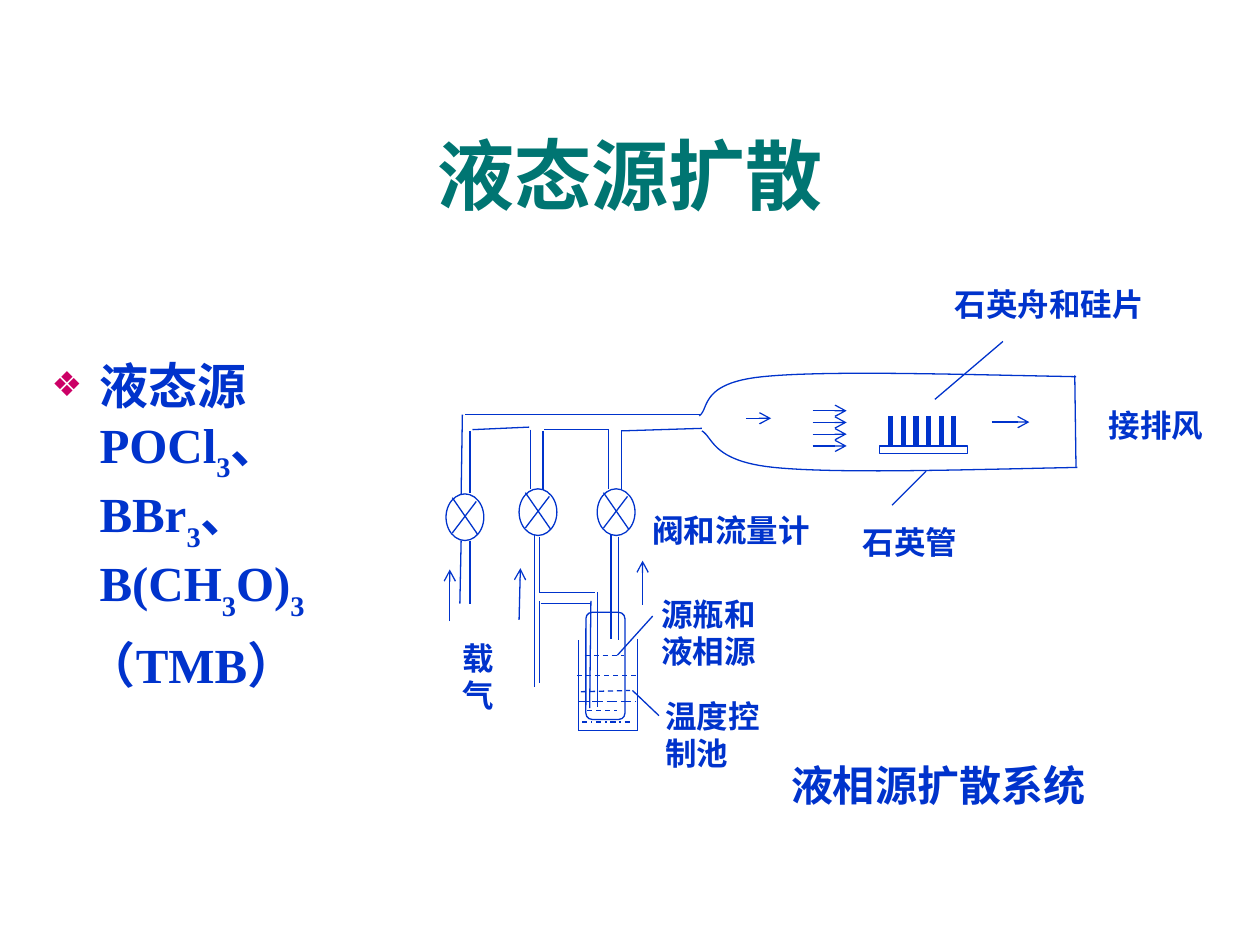
from lxml.etree import SubElement
from pptx import Presentation
from pptx.dml.color import RGBColor
from pptx.enum.dml import MSO_LINE
from pptx.enum.shapes import MSO_CONNECTOR, MSO_SHAPE
from pptx.enum.text import MSO_ANCHOR, MSO_AUTO_SIZE, PP_ALIGN
from pptx.oxml.ns import qn
from pptx.util import Cm, Pt

GRID = 0.0254  # drawing grid in cm: the slide is 1000 x 750 units
BLUE = RGBColor(0x00, 0x33, 0xCC)
TEAL = RGBColor(0x00, 0x75, 0x72)
MAGENTA = RGBColor(0xCC, 0x00, 0x66)
WHITE = RGBColor(0xFF, 0xFF, 0xFF)

TITLE_FONT = {"name": "Times New Roman", "size": Pt(44), "bold": True}
LIST_FONT = {"name": "Times New Roman", "size": Pt(28), "bold": True}
LABEL_FONT = {"name": "Lato", "size": Pt(18), "bold": True}
CAPTION_FONT = {"name": "Lato", "size": Pt(24), "bold": True}


def grid(units):
    return Cm(GRID * units)


def place(box, x, y):
    """Turn an offset within a box into a slide position."""
    return grid(box[0] + x), grid(box[1] + y)


def add_run(paragraph, text, font_format, color):
    run = paragraph.add_run()
    run.text = text
    for name, value in font_format.items():
        setattr(run.font, name, value)
    run.font.color.rgb = color
    return run


def add_label(slide, box, text, x, y, width, height,
              font_format=LABEL_FONT, wrap=True):
    label = slide.shapes.add_textbox(*place(box, x, y), grid(width), grid(height))
    frame_format = {"word_wrap": wrap, "auto_size": MSO_AUTO_SIZE.SHAPE_TO_FIT_TEXT}
    for name, value in frame_format.items():
        setattr(label.text_frame, name, value)
    add_run(label.text_frame.paragraphs[0], text, font_format, BLUE)


def add_segment(slide, box, x1, y1, x2, y2, weight=0.75, dash=None, arrow=False):
    segment = slide.shapes.add_connector(
        MSO_CONNECTOR.STRAIGHT, *place(box, x1, y1), *place(box, x2, y2))
    segment.line.color.rgb = BLUE
    segment.line.width = Pt(weight)
    if dash:
        segment.line.dash_style = dash
    if arrow:
        SubElement(segment.line._get_or_add_ln(), qn("a:tailEnd"), type="arrow")
    SubElement(segment._element.spPr, qn("a:effectLst"))


def outline(shape):
    shape.shadow.inherit = False
    shape.line.color.rgb = BLUE
    shape.line.width = Pt(0.75)


def add_part(slide, box, preset, x, y, width, height):
    part = slide.shapes.add_shape(preset, *place(box, x, y), grid(width), grid(height))
    part.fill.solid()
    part.fill.fore_color.rgb = WHITE
    outline(part)
    return part


def bezier(p0, p1, p2, p3, steps=24):
    for step in range(1, steps + 1):
        t = step / steps
        weights = ((1 - t) ** 3, 3 * t * (1 - t) ** 2, 3 * t * t * (1 - t), t ** 3)
        yield tuple(sum(w * p[axis] for w, p in zip(weights, (p0, p1, p2, p3)))
                    for axis in (0, 1))


def add_curve(slide, box, points):
    """Draw joined cubic curves: a start, then three points for each curve."""
    builder = slide.shapes.build_freeform(*place(box, *points[0]))
    for i in range(0, len(points) - 1, 3):
        builder.add_line_segments(
            [place(box, *p) for p in bezier(*points[i:i + 4])], close=False)
    curve = builder.convert_to_shape()
    curve.fill.background()
    outline(curve)


def fit_placeholder(placeholder, box, anchor):
    placeholder.left, placeholder.top = place(box, 0, 0)
    placeholder.width, placeholder.height = grid(box[2]), grid(box[3])
    frame = placeholder.text_frame
    for name, value in {"vertical_anchor": anchor, "word_wrap": True,
                        "auto_size": MSO_AUTO_SIZE.NONE}.items():
        setattr(frame, name, value)
    return frame


def fill_title(slide, box):
    frame = fit_placeholder(slide.shapes.title, box, MSO_ANCHOR.MIDDLE)
    frame.paragraphs[0].alignment = PP_ALIGN.CENTER
    add_run(frame.paragraphs[0], "液态源扩散", TITLE_FONT, TEAL)


def fill_sources(slide, box):
    frame = fit_placeholder(slide.placeholders[1], box, MSO_ANCHOR.TOP)
    sources, abbreviation = frame.paragraphs[0], frame.add_paragraph()
    for paragraph, first_indent in ((sources, -38), (abbreviation, -10)):
        properties = paragraph._p.get_or_add_pPr()
        properties.set("marL", str(grid(38)))
        properties.set("indent", str(grid(first_indent)))

    # Bullet of the source list
    properties = sources._p.get_or_add_pPr()
    bullet_color = SubElement(properties, qn("a:buClr"))
    SubElement(bullet_color, qn("a:srgbClr"), val=str(MAGENTA))
    SubElement(properties, qn("a:buSzPct"), val="70000")
    SubElement(properties, qn("a:buChar"), char="❖")
    SubElement(abbreviation._p.get_or_add_pPr(), qn("a:buNone"))
    sources.space_before = Pt(0)
    abbreviation.space_before = Pt(7)

    # Formulas, each part followed by a subscript 3
    for formula in ("液态源 POCl", "、BBr", "、B(CH", "O)"):
        add_run(sources, formula, LIST_FONT, BLUE)
        subscript = add_run(sources, "3", LIST_FONT, BLUE)
        subscript._r.get_or_add_rPr().set("baseline", "-30000")
    add_run(abbreviation, "（TMB）", LIST_FONT, BLUE)


def draw_furnace(slide, box):
    # Quartz tube
    add_curve(slide, box, [(299, 5), (199, 3), (99, 0), (50, 5),
                           (0, 10), (8, 31), (0, 36)])
    add_curve(slide, box, [(300, 77), (205, 79), (109, 82), (59, 77),
                           (10, 72), (11, 53), (2, 48)])
    add_segment(slide, box, 298, 4, 299, 77)
    # Boat and wafers
    add_part(slide, box, MSO_SHAPE.RECTANGLE, 143, 60, 70, 6)
    for wafer in range(6):
        x = 152 + 10 * wafer
        add_segment(slide, box, x, 36, x, 61, weight=3)
    # Gas flow
    add_segment(slide, box, 37, 38, 57, 38, arrow=True)
    add_segment(slide, box, 232, 41, 262, 41, arrow=True)
    for stream in range(4):
        y = 32 + 9.3 * stream
        add_segment(slide, box, 90, y, 117, y, arrow=True)
    # Leaders and labels
    for leader in ((241, -23, 187, 23), (153, 107, 180, 80)):
        add_segment(slide, box, *leader)
    for label in (("接排风", 315, 23, 111, 40), ("石英舟和硅片", 193, -73, 176, 40),
                  ("石英管", 120, 116, 113, 40)):
        add_label(slide, box, *label)


def draw_bath(slide, box):
    # Walls, then the source bottle
    for wall in ((48, 37, 48, 110), (1, 110, 48, 110), (1, 38, 1, 110)):
        add_segment(slide, box, *wall)
    bottle = add_part(slide, box, MSO_SHAPE.ROUNDED_RECTANGLE, 7, 16, 31, 85)
    bottle.adjustments[0] = 0.16
    # Liquid levels
    for *level, dash in ((0, 66, 47, 66, MSO_LINE.DASH), (1, 87, 47, 87, MSO_LINE.LONG_DASH),
                         (3, 79, 42, 78, MSO_LINE.DASH), (4, 103, 44, 103, MSO_LINE.DASH_DOT),
                         (6, 50, 37, 50, MSO_LINE.DASH), (8, 94, 32, 94, MSO_LINE.DASH)):
        add_segment(slide, box, *level, dash=dash)
    # Leaders and labels
    for leader in ((60, 19, 32, 50), (65, 98, 44, 78)):
        add_segment(slide, box, *leader)
    add_label(slide, box, "温度控制池", 60, 78, 119, 70)
    add_label(slide, box, "源瓶和液相源", 57, -3, 111, 70)


def draw_valve(slide, box):
    add_part(slide, box, MSO_SHAPE.OVAL, 0, 0, 30, 37)
    add_segment(slide, box, 5, 3, 25, 32)
    add_segment(slide, box, 24, 6, 5, 31)


def draw_gas_lines(slide, box):
    pipes = (
        # Manifold
        (202, 0, 15, 0), (129, 12, 78, 12), (66, 10, 21, 12), (139, 13, 203, 11),
        # Left, middle and right branches
        (13, 0, 12, 63), (19, 13, 19, 62), (12, 100, 11, 150), (19, 100, 19, 150),
        (67, 12, 67, 59), (77, 13, 77, 62), (74, 97, 74, 142), (70, 95, 70, 216),
        (129, 12, 129, 59), (139, 13, 139, 62), (137, 97, 137, 179), (131, 95, 131, 178),
        # Tube into the bottle
        (74, 141, 118, 141), (75, 150, 115, 150), (74, 148, 74, 213),
        (115, 148, 114, 233), (120, 141, 120, 232))
    for pipe in pipes:
        add_segment(slide, box, *pipe)
    for flow in ((3, 164, 3, 123), (58, 163, 59, 122), (156, 151, 156, 116)):
        add_segment(slide, box, *flow, arrow=True)
    for x, y in ((0, 63), (58, 59), (120, 59)):
        draw_valve(slide, (box[0] + x, box[1] + y))
    add_label(slide, box, "阀和流量计", 154, 72, 153, 40)
    add_label(slide, box, "载气", 3, 173, 62, 70)


def main():
    presentation = Presentation()
    presentation.slide_width, presentation.slide_height = grid(1000), grid(750)
    slide = presentation.slides.add_slide(presentation.slide_layouts[1])
    fill_title(slide, (33, 75, 934, 125))
    fill_sources(slide, (31, 277, 280, 419))
    draw_furnace(slide, (555, 294))
    draw_bath(slide, (458, 470))
    draw_gas_lines(slide, (354, 329))
    add_label(slide, (618, 598), "液相源扩散系统", 0, 0, 253, 50, CAPTION_FONT, wrap=False)
    presentation.save("out.pptx")


if __name__ == "__main__":
    main()
